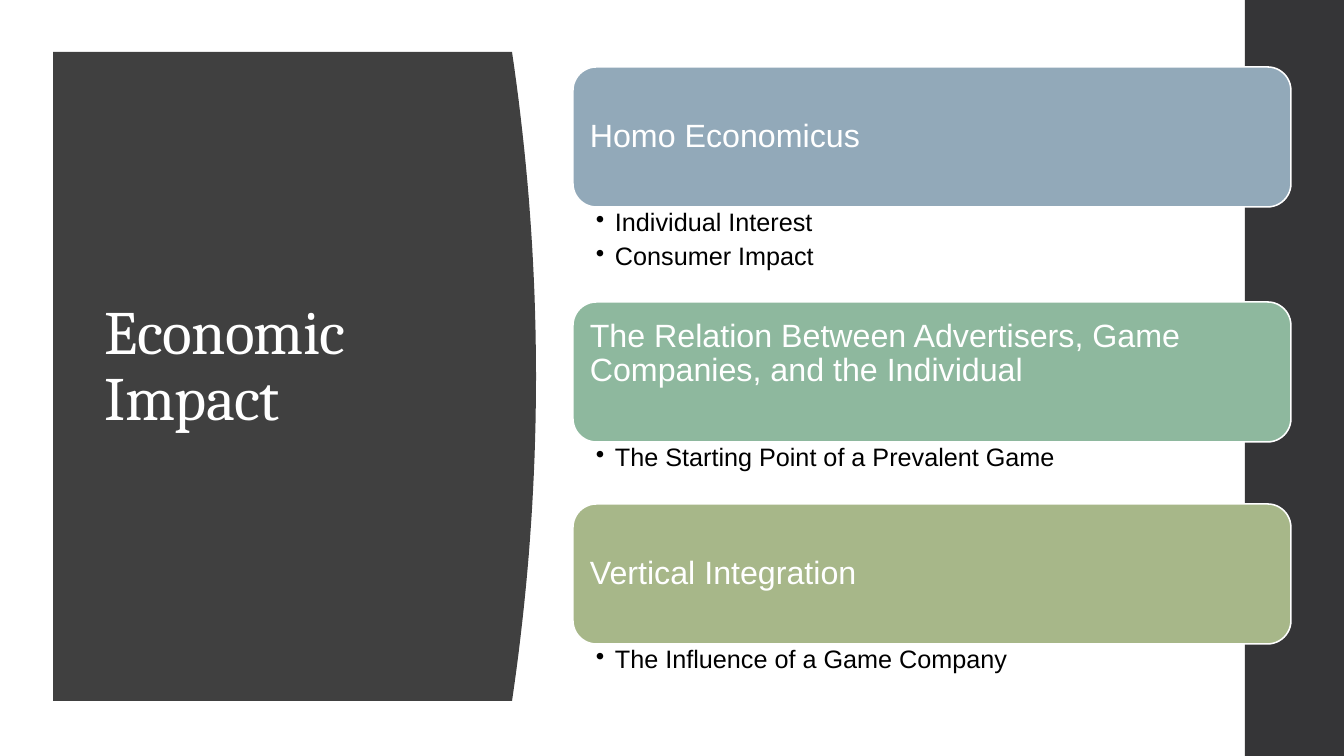
from dataclasses import dataclass

from lxml import etree
from pptx import Presentation
from pptx.dml.color import RGBColor
from pptx.enum.shapes import MSO_SHAPE
from pptx.enum.text import MSO_ANCHOR, PP_ALIGN
from pptx.oxml.ns import qn
from pptx.util import Pt

RECTANGLE = MSO_SHAPE.RECTANGLE
ROUNDED = MSO_SHAPE.ROUNDED_RECTANGLE
TOP, MIDDLE, BOTTOM = MSO_ANCHOR.TOP, MSO_ANCHOR.MIDDLE, MSO_ANCHOR.BOTTOM
LEFT = PP_ALIGN.LEFT

EMU_PER_PX = 914400 / 100.8
PAGE_WIDTH, PAGE_HEIGHT = 1344, 756

COLORS = {
    "white": "FFFFFF",
    "black": "000000",
    "band": "353537",
    "panel": "404040",
    "blue": "92A9B9",
    "green": "8EB89E",
    "olive": "A7B789",
}

# Topic column
COLUMN_LEFT, COLUMN_TOP, COLUMN_WIDTH = 573, 67, 718
HEADER_HEIGHT = 140
BULLET_INDENT = 19

# Title panel with a bulging right edge
PANEL_LEFT, PANEL_TOP, PANEL_RIGHT, PANEL_BOTTOM = 53, 52, 512, 701
PANEL_BULGE = 24
CURVE_STEPS = 40


@dataclass(frozen=True)
class Topic:
    header: str
    color: str
    details: tuple[str, ...]
    details_height: int
    header_bottom_inset: int = 10


TOPICS = (
    Topic("Homo Economicus", "blue", ("Individual Interest", "Consumer Impact"), 95),
    Topic(
        "The Relation Between Advertisers,\u00a0Game Companies, and the Individual".replace("\u00a0", " "),
        "green",
        ("The Starting Point of a Prevalent Game",),
        62,
        header_bottom_inset=46,
    ),
    Topic("Vertical Integration", "olive", ("The Influence of a Game Company",), 42),
)


def px(length: float) -> int:
    return round(length * EMU_PER_PX)


def rgb(name: str) -> RGBColor:
    return RGBColor.from_string(COLORS[name])


def paint(shape, color: str, outline: str | None = None) -> None:
    shape.shadow.inherit = False
    shape.fill.solid()
    shape.fill.fore_color.rgb = rgb(color)
    if outline:
        shape.line.color.rgb = rgb(outline)
        shape.line.width = Pt(1.1)
    else:
        shape.line.fill.background()


def add_bullet(para) -> None:
    properties = para._p.get_or_add_pPr()
    properties.set("marL", str(px(BULLET_INDENT)))
    properties.set("indent", str(-px(BULLET_INDENT)))
    etree.SubElement(properties, qn("a:buChar")).set("char", "•")


def write_text(
    shape,
    lines: tuple[str, ...],
    *,
    size: int,
    color: str,
    font: str = "Arial",
    anchor: MSO_ANCHOR = TOP,
    insets: tuple[int, int, int, int] = (10, 5, 10, 5),
    space_after: int = 0,
    tracking: int = 0,
    bullets: bool = False,
) -> None:
    frame = shape.text_frame
    frame.word_wrap = True
    frame.vertical_anchor = anchor
    frame.margin_left, frame.margin_top, frame.margin_right, frame.margin_bottom = map(px, insets)
    for index, line in enumerate(lines):
        para = frame.add_paragraph() if index else frame.paragraphs[0]
        para.alignment = LEFT
        para.line_spacing = 0.9
        para.space_after = Pt(space_after)
        if bullets:
            add_bullet(para)
        span = para.add_run()
        span.text = line
        span.font.name = font
        span.font.size = Pt(size)
        span.font.color.rgb = rgb(color)
        if tracking:
            span._r.get_or_add_rPr().set("spc", str(tracking))


def add_panel(page) -> None:
    height = PANEL_BOTTOM - PANEL_TOP
    curve = []
    for step in range(CURVE_STEPS + 1):
        share = step / CURVE_STEPS
        bulge = PANEL_BULGE * (1 - (2 * share - 1) ** 2)
        curve.append((px(PANEL_RIGHT + bulge), px(PANEL_TOP + height * share)))
    builder = page.shapes.build_freeform(px(PANEL_LEFT), px(PANEL_TOP))
    builder.add_line_segments([*curve, (px(PANEL_LEFT), px(PANEL_BOTTOM))], close=True)
    paint(builder.convert_to_shape(), "panel")


def add_topic(page, topic: Topic, top: int) -> int:
    """Draw a header and its bullets, and return where the next topic starts."""
    header = page.shapes.add_shape(
        ROUNDED, px(COLUMN_LEFT), px(top), px(COLUMN_WIDTH), px(HEADER_HEIGHT)
    )
    paint(header, topic.color, outline="white")
    write_text(header, (topic.header,), size=23, color="white", anchor=MIDDLE,
               insets=(10, 10, 10, topic.header_bottom_inset))

    details_top = top + HEADER_HEIGHT
    box = page.shapes.add_textbox(
        px(COLUMN_LEFT), px(details_top), px(COLUMN_WIDTH), px(topic.details_height)
    )
    write_text(box, topic.details, size=18, color="black",
               insets=(23, 3, 18, 3), space_after=5, bullets=True)
    return details_top + topic.details_height


def main() -> None:
    deck = Presentation()
    deck.slide_width, deck.slide_height = px(PAGE_WIDTH), px(PAGE_HEIGHT)
    page = deck.slides.add_slide(deck.slide_layouts[6])

    # Side band
    band_left = 1245
    band = page.shapes.add_shape(
        RECTANGLE, px(band_left), 0, px(PAGE_WIDTH - band_left), px(PAGE_HEIGHT)
    )
    paint(band, "band")

    # Title
    add_panel(page)
    title = page.shapes.add_textbox(px(95), px(295), px(377), px(144))
    write_text(title, ("Economic Impact",), size=44, color="white", font="Cambria",
               anchor=BOTTOM, tracking=-50)

    # Topics, stacked from the top
    top = COLUMN_TOP
    for topic in TOPICS:
        top = add_topic(page, topic, top)

    deck.save("out.pptx")


if __name__ == "__main__":
    main()
